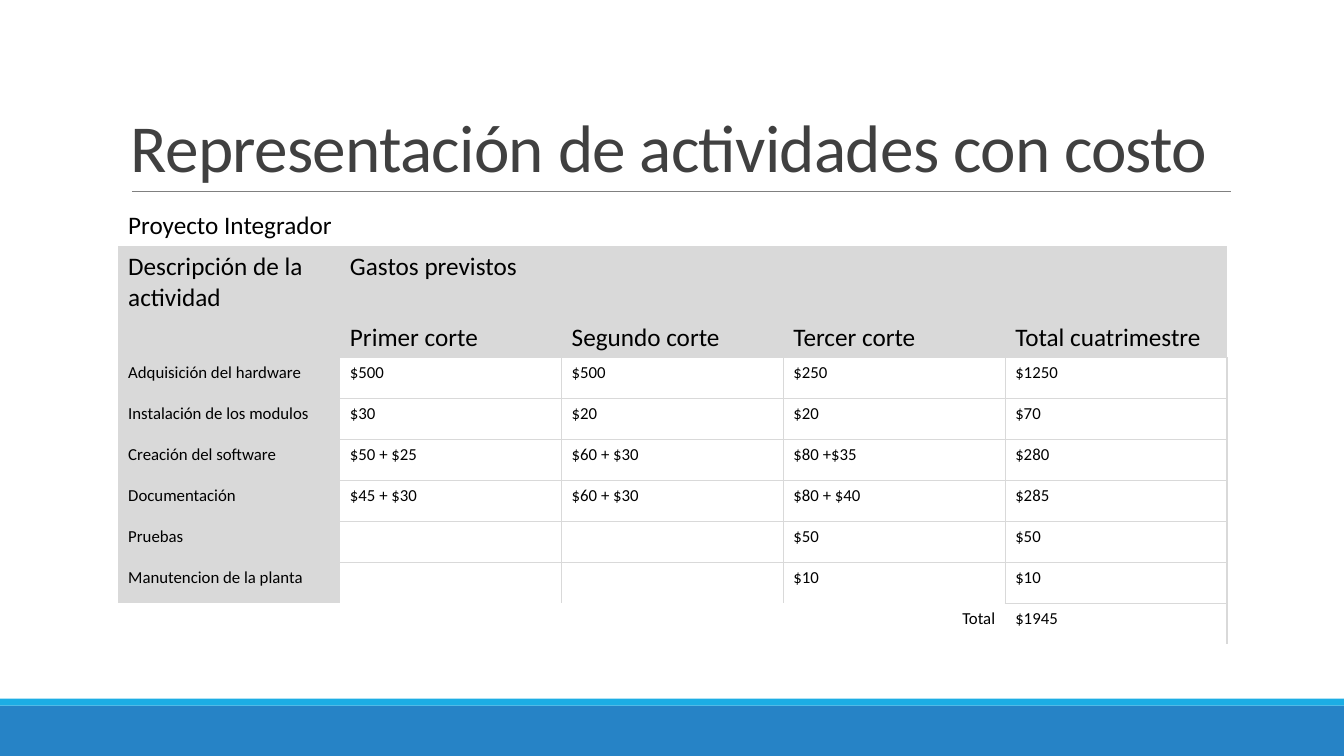
from lxml.etree import SubElement
from pptx import Presentation
from pptx.dml.color import RGBColor
from pptx.enum.shapes import MSO_CONNECTOR, MSO_SHAPE
from pptx.enum.text import MSO_ANCHOR, PP_ALIGN
from pptx.oxml.ns import qn
from pptx.util import Pt

GRAY = "D9D9D9"


def color(value):
    return RGBColor.from_string(value)


def write(frame, text, size=12, ink="000000", align=PP_ALIGN.LEFT,
          line_spacing=None, tracking=None):
    paragraph = frame.paragraphs[0]
    paragraph.alignment = align
    paragraph.line_spacing = line_spacing
    run = paragraph.add_run()
    run.text = text
    run.font.name = "Calibri"
    run.font.size = Pt(size)
    run.font.bold = False
    run.font.color.rgb = color(ink)
    if tracking is not None:
        run.font._element.set("spc", str(tracking))


presentation = Presentation()
presentation.slide_width = Pt(960)
presentation.slide_height = Pt(540)
slide = presentation.slides.add_slide(presentation.slide_layouts[6])

# Footer bands
for top, height, fill in [(504, 36, "2683C6"), (499, 5, "1CADE4")]:
    band = slide.shapes.add_shape(
        MSO_SHAPE.RECTANGLE, Pt(0), Pt(top), Pt(960), Pt(height))
    band.shadow.inherit = False
    band.fill.solid()
    band.fill.fore_color.rgb = color(fill)
    band.line.fill.background()

# Rule under the title
rule = slide.shapes.add_connector(
    MSO_CONNECTOR.STRAIGHT, Pt(94.3), Pt(136.8), Pt(879), Pt(136.8))
rule.line.color.rgb = color("808080")
rule.line.width = Pt(0.5)
SubElement(rule._element.spPr, qn("a:effectLst"))

# Title
title = slide.shapes.add_textbox(Pt(86.4), Pt(22.6), Pt(792), Pt(114.2))
title.text_frame.word_wrap = True
title.text_frame.vertical_anchor = MSO_ANCHOR.BOTTOM
write(title.text_frame, "Representación de actividades con costo", size=48,
      ink="404040", line_spacing=0.85, tracking=-50)

# Cost table
rows = [
    ["Proyecto Integrador", "", "", "", ""],
    ["Descripción de la actividad", "Gastos previstos", "", "", ""],
    ["", "Primer corte", "Segundo corte", "Tercer corte", "Total cuatrimestre"],
    ["Adquisición del hardware", "$500", "$500", "$250", "$1250"],
    ["Instalación de los modulos", "$30", "$20", "$20", "$70"],
    ["Creación del software", "$50 + $25", "$60 + $30", "$80 +$35", "$280"],
    ["Documentación", "$45 + $30", "$60 + $30", "$80 + $40", "$285"],
    ["Pruebas", "", "", "$50", "$50"],
    ["Manutencion de la planta", "", "", "$10", "$10"],
    ["Total", "", "", "", "$1945"],
]
header_rows = 3
last_row, last_column = len(rows) - 1, len(rows[0]) - 1
table = slide.shapes.add_table(
    len(rows), len(rows[0]), Pt(84.4), Pt(146.8), Pt(792), Pt(292)).table
table.first_row = False
table.horz_banding = False
for column in table.columns:
    column.width = Pt(158.4)
for table_row in table.rows:
    table_row.height = Pt(29.2)

for row, texts in enumerate(rows):
    for column, text in enumerate(texts):
        cell = table.cell(row, column)
        is_header = row < header_rows
        is_total = row == last_row

        # Visible borders by region of the table
        if is_header:
            sides = "B" if row == header_rows - 1 and column else ""
        elif is_total:
            sides = "RT" if column == last_column else ""
        else:
            sides = "LRTB" if column else "R"
        properties = cell._tc.get_or_add_tcPr()
        for side in "LRTB":
            border = SubElement(properties, qn("a:ln" + side), w="12700")
            if side in sides:
                paint = SubElement(border, qn("a:solidFill"))
                SubElement(paint, qn("a:srgbClr"), val=GRAY)
            else:
                SubElement(border, qn("a:noFill"))

        # Gray headings at the top and on the left
        if 0 < row < header_rows or (column == 0 and 0 < row < last_row):
            cell.fill.solid()
            cell.fill.fore_color.rgb = color(GRAY)
        else:
            cell.fill.background()
        if text:
            write(cell.text_frame, text, size=18 if is_header else 12,
                  align=PP_ALIGN.RIGHT if text == "Total" else PP_ALIGN.LEFT)

# Merged cells: row, first column, last column
for row, first, last in [(0, 0, 4), (1, 1, 4), (last_row, 0, 3)]:
    table.cell(row, first).merge(table.cell(row, last))

presentation.save("out.pptx")
